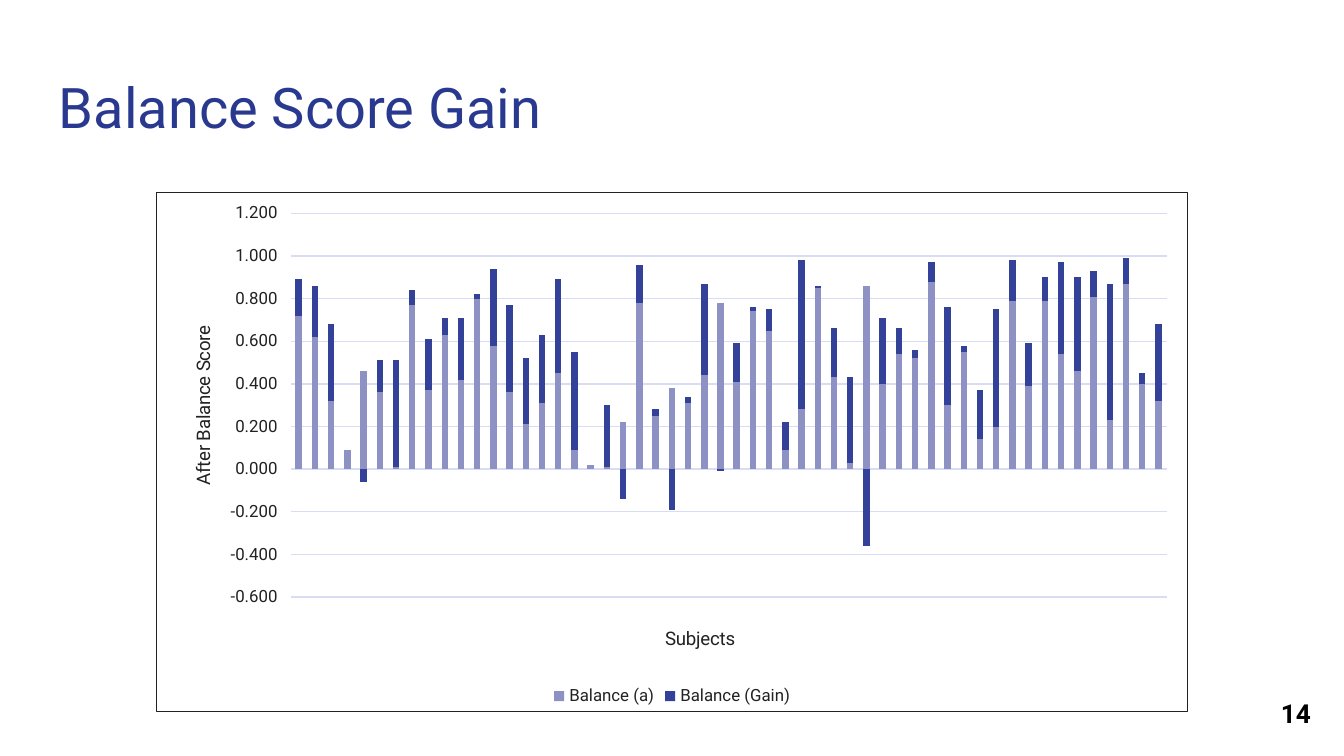
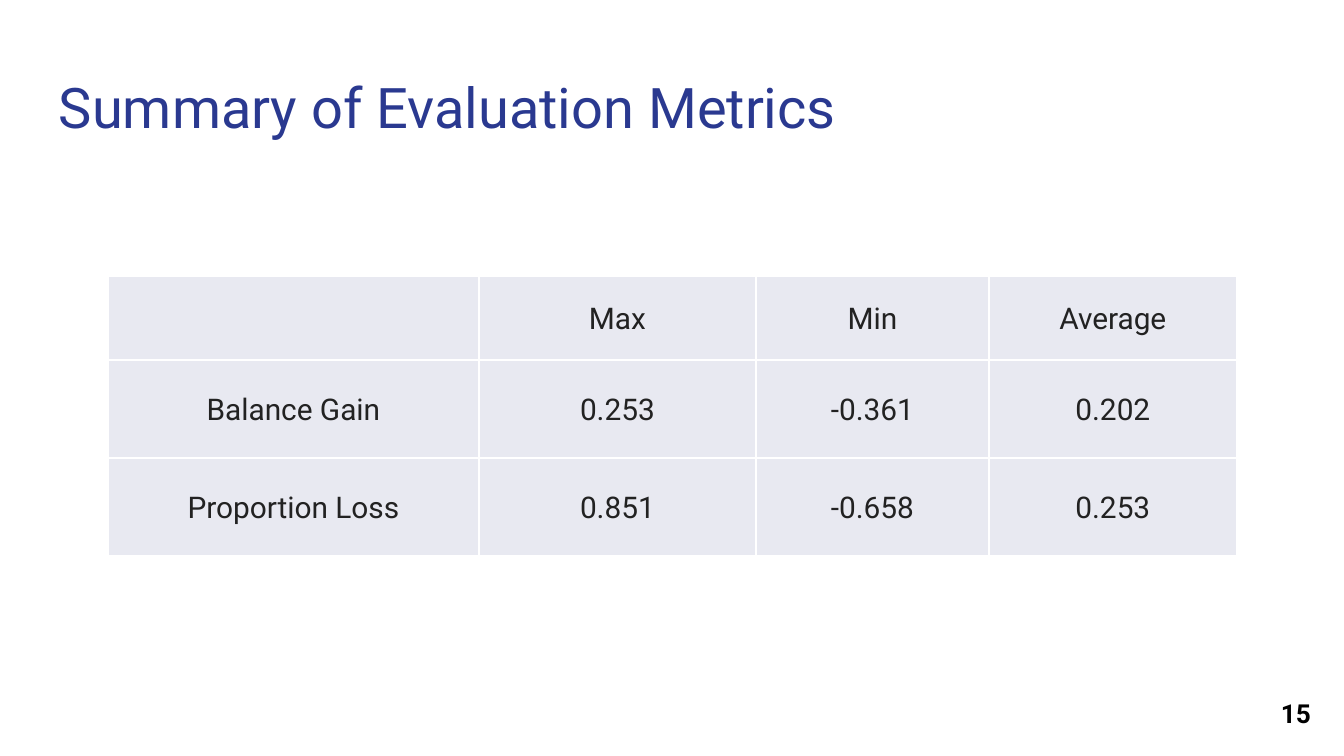
"""Build two slides: balance score gain chart and evaluation metrics table."""
from pptx import Presentation
from pptx.chart.data import CategoryChartData as ChartData
from pptx.dml.color import RGBColor as RGB
from pptx.enum.chart import XL_CHART_TYPE as Kind, XL_LEGEND_POSITION as Legend, XL_TICK_MARK as Tick
from pptx.enum.text import MSO_ANCHOR as Anchor, PP_ALIGN as Align
from pptx.oxml import parse_xml
from pptx.oxml.ns import nsdecls, qn
from pptx.util import Pt

SCALE = 914400 / 134.4
FONT = "Roboto"
HUES = {
    "title": "2A3990", "ink": "222222", "page": "000000", "white": "FFFFFF",
    "cell": "E8E9F1", "grid": "D9DDF4", "after": "8D91C3", "gain": "334198",
}
AFTER = [
    0.72, 0.62, 0.32, 0.09, 0.46, 0.36, 0.01, 0.77, 0.37, 0.63, 0.42, 0.8, 0.58, 0.36,
    0.21, 0.31, 0.45, 0.09, 0.02, 0.01, 0.22, 0.78, 0.25, 0.38, 0.31, 0.44, 0.78, 0.41,
    0.74, 0.65, 0.09, 0.28, 0.85, 0.43, 0.03, 0.86, 0.4, 0.54, 0.52, 0.88, 0.3, 0.55,
    0.14, 0.2, 0.79, 0.39, 0.79, 0.54, 0.46, 0.81, 0.23, 0.87, 0.4, 0.32,
]
GAIN = [
    0.17, 0.24, 0.36, 0, -0.06, 0.15, 0.5, 0.07, 0.24, 0.08, 0.29, 0.02, 0.36, 0.41,
    0.31, 0.32, 0.44, 0.46, 0, 0.29, -0.14, 0.18, 0.03, -0.19, 0.03, 0.43, -0.01, 0.18,
    0.02, 0.1, 0.13, 0.7, 0.01, 0.23, 0.4, -0.36, 0.31, 0.12, 0.04, 0.09, 0.46, 0.03,
    0.23, 0.55, 0.19, 0.2, 0.11, 0.43, 0.44, 0.12, 0.64, 0.12, 0.05, 0.36,
]
ROWS = [
    ["", "Max", "Min", "Average"],
    ["Balance Gain", "0.253", "-0.361", "0.202"],
    ["Proportion Loss", "0.851", "-0.658", "0.253"],
]


def px(num):
    """Turn px into EMU."""
    return round(num * SCALE)


def style(font, size, hue, bold=False):
    """Set face, size, colour and weight of a font."""
    font.name, font.size, font.bold = FONT, Pt(size), bold
    font.color.rgb = RGB.from_string(HUES[hue])


def paint(fill, hue):
    """Fill with one solid colour."""
    fill.solid()
    fill.fore_color.rgb = RGB.from_string(HUES[hue])


def add_text(slide, box, text, size, hue, bold=False, align=Align.LEFT, anchor=Anchor.TOP):
    """Add a line of text in a box."""
    frame = slide.shapes.add_textbox(*map(px, box)).text_frame
    frame.word_wrap = True
    frame.vertical_anchor = anchor
    frame.margin_top = frame.margin_bottom = px(13)
    frame.margin_left = frame.margin_right = px(13)
    frame.text = text
    line = frame.paragraphs[0]
    line.alignment = align
    style(line.runs[0].font, size, hue, bold)


def add_page(deck, title, num):
    """Add a blank slide with its title and number."""
    slide = deck.slides.add_slide(deck.slide_layouts[6])
    add_text(slide, (46, 60, 1253, 89), title, 30, "title")
    add_text(slide, (1243, 684, 81, 58), str(num), 14, "page", True, Align.RIGHT, Anchor.MIDDLE)
    return slide


def place(node, index, **spots):
    """Give a chart part a manual layout in fractions of the chart."""
    for old in node.findall(qn("c:layout")):
        node.remove(old)
    target = '<c:layoutTarget val="inner"/>' if "w" in spots else ""
    modes = "".join(f'<c:{key}Mode val="edge"/>' for key in "xy")
    sizes = "".join(f'<c:{key} val="{val}"/>' for key, val in spots.items())
    node.insert(index, parse_xml(
        f'<c:layout {nsdecls("c")}><c:manualLayout>{target}{modes}{sizes}'
        "</c:manualLayout></c:layout>"))


def name_axis(axis, text, x, y):
    """Title an axis at a given spot."""
    title = axis.axis_title
    title.text_frame.text = text
    style(title.text_frame.paragraphs[0].runs[0].font, 10, "ink")
    place(title._element, 1, x=x, y=y)


def frame_chart(chart):
    """Draw a thin border around a chart."""
    chart._chartSpace.find(qn("c:chart")).addnext(parse_xml(
        f'<c:spPr {nsdecls("c", "a")}><a:solidFill><a:srgbClr val="{HUES["white"]}"/></a:solidFill>'
        f'<a:ln w="{Pt(0.75)}"><a:solidFill><a:srgbClr val="{HUES["ink"]}"/></a:solidFill></a:ln>'
        "</c:spPr>"))


def set_scale(axis):
    """Format the score axis and its grid."""
    axis.minimum_scale, axis.maximum_scale, axis.major_unit = -0.6, 1.2, 0.2
    axis.major_tick_mark = Tick.OUTSIDE
    axis.format.line.fill.background()
    grid = axis.major_gridlines.format.line
    grid.width = Pt(0.75)
    paint(grid.fill, "grid")
    axis.tick_labels.number_format = "0.000"
    axis.tick_labels.number_format_is_linked = False
    style(axis.tick_labels.font, 9, "ink")


def add_bars(slide, box):
    """Add the stacked chart of scores by subject."""
    data = ChartData()
    data.categories = [str(num + 1) for num in range(len(AFTER))]
    data.add_series("Balance (a)", AFTER)
    data.add_series("Balance (Gain)", GAIN)
    chart = slide.shapes.add_chart(Kind.COLUMN_STACKED, *map(px, box), data).chart
    chart.has_title = False
    style(chart.font, 10, "ink")
    frame_chart(chart)
    chart.has_legend = True
    chart.legend.position = Legend.BOTTOM
    chart.legend.include_in_layout = False
    style(chart.legend.font, 9, "ink")
    plot = chart.plots[0]
    plot.gap_width, plot.overlap, plot.vary_by_categories = 150, 100, False
    for series, hue in zip(plot.series, ("after", "gain")):
        paint(series.format.fill, hue)
        series.invert_if_negative = False
    chart.category_axis.visible = False
    set_scale(chart.value_axis)
    name_axis(chart.category_axis, "Subjects", 0.49, 0.83)
    name_axis(chart.value_axis, "After Balance Score", 0.03, 0.25)
    place(chart._chartSpace.chart.plotArea, 0, x=0.13, y=0.04, w=0.85, h=0.74)


def edge_cell(cell):
    """Draw white lines on all four sides of a cell."""
    props = cell._tc.get_or_add_tcPr()
    for spot, side in enumerate("LRTB"):
        props.insert(spot, parse_xml(
            f'<a:ln{side} {nsdecls("a")} w="{Pt(1)}"><a:solidFill>'
            f'<a:srgbClr val="{HUES["white"]}"/></a:solidFill></a:ln{side}>'))


def set_cell(cell, text):
    """Fill in and format one table cell."""
    paint(cell.fill, "cell")
    edge_cell(cell)
    cell.vertical_anchor = Anchor.MIDDLE
    cell.margin_left = cell.margin_right = cell.margin_top = px(3)
    cell.margin_bottom = 0
    cell.text = text
    line = cell.text_frame.paragraphs[0]
    line.alignment = Align.CENTER
    for run in line.runs:
        style(run.font, 16, "ink")


def add_grid(slide, left, top, wides, talls):
    """Add the table of metrics."""
    box = map(px, (left, top, sum(wides), sum(talls)))
    table = slide.shapes.add_table(len(talls), len(wides), *box).table
    table.first_row = table.horz_banding = False
    for col, wide in zip(table.columns, wides):
        col.width = px(wide)
    for row, tall, texts in zip(table.rows, talls, ROWS):
        row.height = px(tall)
        for cell, text in zip(row.cells, texts):
            set_cell(cell, text)


def main():
    """Build and save the deck."""
    deck = Presentation()
    deck.slide_width, deck.slide_height = px(1344), px(756)
    add_bars(add_page(deck, "Balance Score Gain", 14), (156, 192, 1032, 520))
    page = add_page(deck, "Summary of Evaluation Metrics", 15)
    add_grid(page, 108, 276, (371, 277, 233, 248), (84, 98, 98))
    deck.save("out.pptx")


if __name__ == "__main__":
    main()
